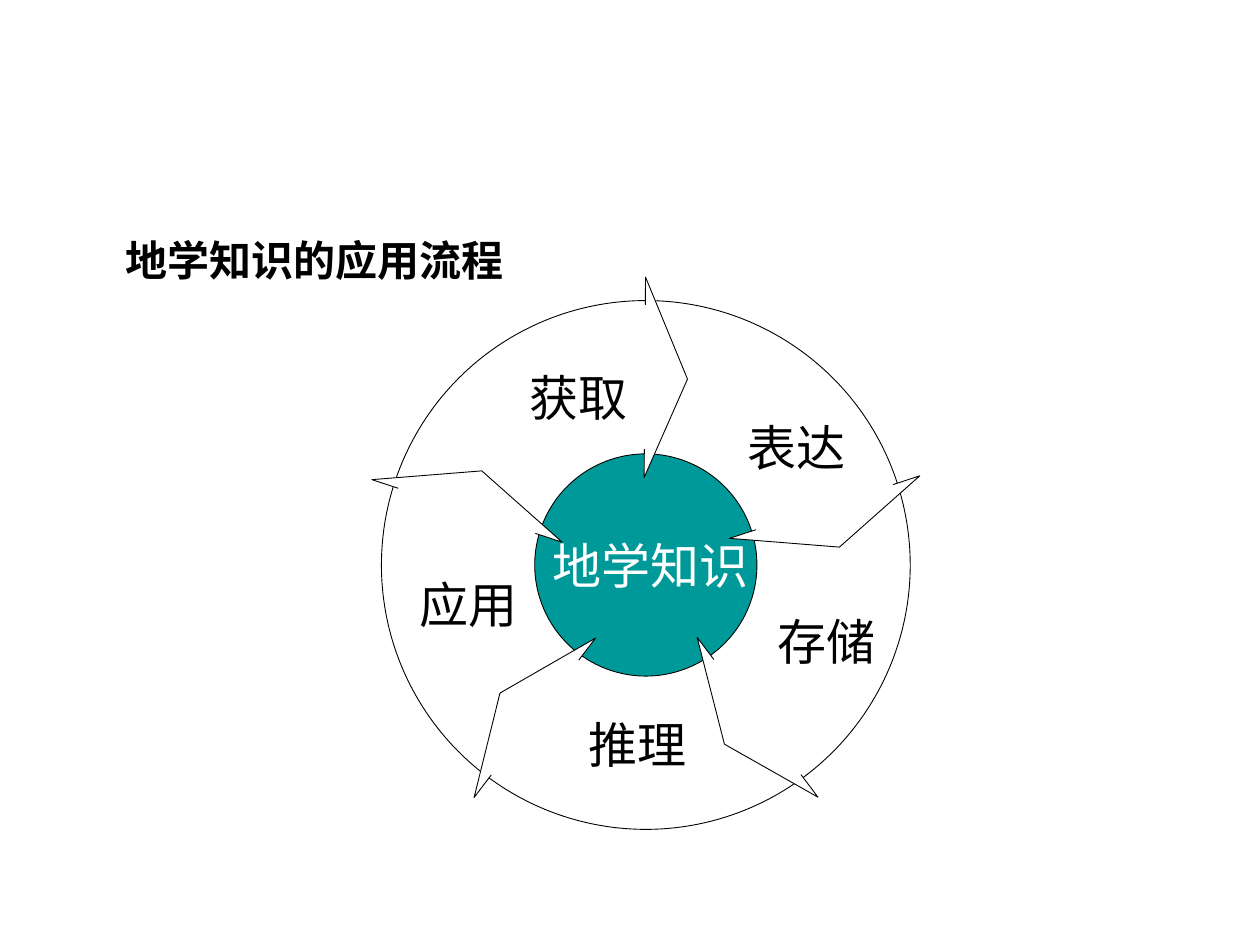
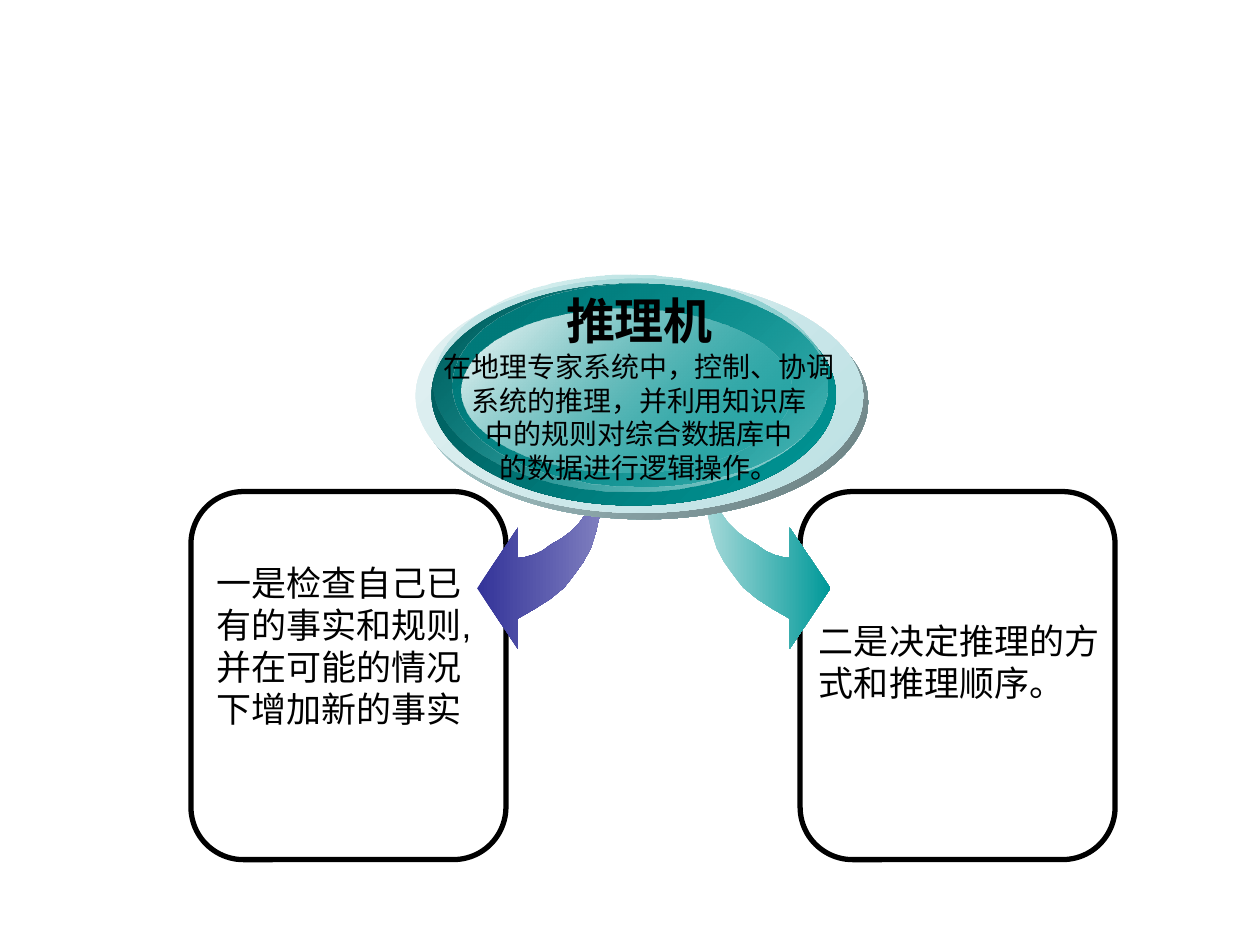
from copy import deepcopy
from math import cos, radians, sin, tan

from pptx import Presentation, util as u
from pptx.dml.color import RGBColor
from pptx.enum import shapes, text
from pptx.oxml import parse_xml
from pptx.oxml.ns import nsdecls, qn

BLACK = RGBColor(0x00, 0x00, 0x00)
WHITE = RGBColor(0xFF, 0xFF, 0xFF)
TEAL = RGBColor(0x00, 0x99, 0x99)
TEAL_DARK = RGBColor(0x00, 0x54, 0x54)
TEAL_MID = RGBColor(0x00, 0x78, 0x78)
TEAL_PALE = RGBColor(0xB0, 0xDD, 0xDD)
TEAL_MIST = RGBColor(0xA8, 0xDA, 0xDA)
INDIGO = RGBColor(0x33, 0x33, 0x99)
INDIGO_PALE = RGBColor(0x7F, 0x7F, 0xBF)
ICE = RGBColor(0xBB, 0xE0, 0xE3)
ICE_PALE = RGBColor(0xE4, 0xF2, 0xF3)
ICE_SHADE = RGBColor(0x67, 0x7B, 0x7D)
FONT = "Arial"


def add_text(slide, lines, left, top, width, height, sizes=(28,), bold_lines=(),
             color=BLACK, align=text.PP_ALIGN.CENTER, anchor=text.MSO_ANCHOR.TOP,
             margin=None, wrap=True):
    box = slide.shapes.add_textbox(u.Cm(left), u.Cm(top), u.Cm(width), u.Cm(height))
    frame = box.text_frame
    frame.word_wrap = wrap
    frame.auto_size = text.MSO_AUTO_SIZE.SHAPE_TO_FIT_TEXT
    frame.vertical_anchor = anchor
    if margin is not None:
        frame.margin_left = frame.margin_right = u.Cm(margin)
        frame.margin_top = frame.margin_bottom = u.Cm(margin)
    frame.text = "\n".join(lines)
    for index, paragraph in enumerate(frame.paragraphs):
        paragraph.alignment = align
        paragraph._p.get_or_add_pPr().set("hangingPunct", "0")
        font = paragraph.runs[0].font
        font.name = FONT
        font.size = u.Pt(sizes[min(index, len(sizes) - 1)])
        font.bold = index in bold_lines
        font.color.rgb = color


def add_outline(slide, points, close):
    corners = [(u.Cm(x), u.Cm(y)) for x, y in points]
    builder = slide.shapes.build_freeform(*corners[0])
    builder.add_line_segments(corners[1:], close=close)
    shape = builder.convert_to_shape()
    shape.shadow.inherit = False
    shape.fill.solid()
    shape.fill.fore_color.rgb = WHITE
    shape.line.color.rgb = BLACK
    shape.line.width = u.Pt(0.5)
    return shape


presentation = Presentation()
presentation.slide_width = u.Cm(25.4)
presentation.slide_height = u.Cm(19.05)
blank = presentation.slide_layouts[6]

slide = presentation.slides.add_slide(blank)
add_text(slide, ["地学知识的应用流程"], 0, 4.6, 12.7, 1.27, sizes=(24,), bold_lines=(0,))

CENTER_X, CENTER_Y = 13.02, 11.39
RING_RADIUS, HUB_RADIUS = 5.33, 2.24
STEP = 72

for sector in range(5):
    start = sector * STEP - 90
    end = start + STEP
    angles = [start] + [axis for axis in (0, 90, 180) if start < axis < end] + [end]
    rim = [(CENTER_X + RING_RADIUS * cos(radians(angle)),
            CENTER_Y + RING_RADIUS * sin(radians(angle))) for angle in angles]
    shape = add_outline(slide, rim + [(CENTER_X, CENTER_Y)], True)
    area = shape._element.find(".//" + qn("a:path"))
    nodes = [(int(point.get("x")), int(point.get("y"))) for point in area.iter(qn("a:pt"))]
    hub_x, hub_y = nodes[len(rim)]
    for index in range(1, len(rim)):
        pull = 4 / 3 * tan(radians(angles[index] - angles[index - 1]) / 4)
        (x1, y1), (x2, y2) = nodes[index - 1:index + 1]
        curve = [(x1 - pull * (y1 - hub_y), y1 + pull * (x1 - hub_x)),
                 (x2 + pull * (y2 - hub_y), y2 - pull * (x2 - hub_x)), (x2, y2)]
        marks = "".join(f'<a:pt x="{round(x)}" y="{round(y)}"/>' for x, y in curve)
        area.replace(area[index],
                     parse_xml(f'<a:cubicBezTo {nsdecls("a")}>{marks}</a:cubicBezTo>'))
    arc = deepcopy(area)
    for segment in list(arc)[-2:]:
        arc.remove(segment)
    arc.set("fill", "none")
    area.set("stroke", "0")
    area.addprevious(arc)

hub = slide.shapes.add_shape(shapes.MSO_SHAPE.OVAL, u.Cm(CENTER_X - HUB_RADIUS),
                             u.Cm(CENTER_Y - HUB_RADIUS), u.Cm(2 * HUB_RADIUS),
                             u.Cm(2 * HUB_RADIUS))
hub.shadow.inherit = False
hub.fill.solid()
hub.fill.fore_color.rgb = TEAL
hub.line.color.rgb = BLACK
hub.line.width = u.Pt(0.5)

CHEVRON_WIDTH = 0.86
chevron = [(0, 0.56), (0, 0), (CHEVRON_WIDTH, 2.05), (0, 4.04), (0, 3.47)]
for left, top, angle, mirrored in [
    (16.33, 8.61, 251.8, True),
    (14.5, 12.7, 322.9, True),
    (10.01, 12.19, 37.3, True),
    (9.12, 7.87, 288.2, False),
    (13.0, 5.59, 0.4, False),
]:
    points = [(left + (CHEVRON_WIDTH - x if mirrored else x), top + y) for x, y in chevron]
    add_outline(slide, points, False).rotation = angle

for label, left, top, width, color in [
    ("地学知识", 11.1, 10.8, 4.01, WHITE),
    ("表达", 14.81, 8.41, 2.49, BLACK),
    ("存储", 15.42, 12.32, 2.49, BLACK),
    ("推理", 11.61, 14.4, 2.49, BLACK),
    ("应用", 8.2, 11.58, 2.49, BLACK),
    ("获取", 10.41, 7.41, 2.49, BLACK),
]:
    add_text(slide, [label], left, top, width, 1.19, color=color,
             anchor=text.MSO_ANCHOR.MIDDLE, margin=0)

slide = presentation.slides.add_slide(blank)
for left in (16.13, 3.85):
    card = slide.shapes.add_shape(shapes.MSO_SHAPE.ROUNDED_RECTANGLE, u.Cm(left),
                                  u.Cm(9.91), u.Cm(6.35), u.Cm(7.42))
    card.shadow.inherit = False
    card.fill.background()
    card.line.color.rgb = BLACK
    card.line.width = u.Pt(3)

add_text(slide, ["一是检查自己已有的事实和规则, 并在可能的情况下增加新的事实"],
         4.11, 11.2, 5.66, 3.68, sizes=(20,), align=text.PP_ALIGN.LEFT)

AXIS_X = 13.18
curved_arrow = [
    (1.04, 9.65), (1.04, 10.03), (1.09, 10.39), (1.17, 10.74), (1.27, 11.05),
    (1.42, 11.33), (1.6, 11.58), (1.8, 11.84), (2.08, 12.07), (2.39, 12.27),
    (2.74, 12.47), (2.74, 13.08), (3.56, 11.86), (2.74, 10.64), (2.74, 11.25),
    (2.59, 11.23), (2.41, 11.18), (2.24, 11.1), (2.06, 10.97), (1.85, 10.85),
    (1.68, 10.72), (1.5, 10.54), (1.37, 10.36), (1.24, 10.19), (1.14, 10.01),
    (1.07, 9.8),
]
gradients = []
for side, colors in [(-1, (INDIGO, INDIGO_PALE)), (1, (TEAL_MIST, TEAL))]:
    arrow = add_outline(slide, [(AXIS_X + side * x, y) for x, y in curved_arrow], True)
    gradients.append((arrow, 0, colors, (100, 100)))

button = slide.shapes.add_group_shape()
for left, top, width, height, colors, opacities in [
    (8.48, 5.75, 9.02, 4.72, (ICE, ICE_SHADE), (100, 100)),
    (8.38, 5.62, 9.02, 4.72, (ICE_PALE, ICE), (100, 100)),
    (8.7, 5.72, 8.15, 4.47, (TEAL_DARK, TEAL), (100, 100)),
    (8.74, 5.54, 7.95, 4.37, (TEAL, TEAL_PALE), (0, 100)),
    (9.12, 5.72, 7.57, 4.09, (TEAL_MID, TEAL), (100, 48)),
    (9.3, 6.22, 6.65, 3.3, (WHITE, TEAL), (100, 38)),
]:
    layer = button.shapes.add_shape(shapes.MSO_SHAPE.OVAL, u.Cm(left), u.Cm(top),
                                    u.Cm(width), u.Cm(height))
    layer.shadow.inherit = False
    gradients.append((layer, 315, colors, opacities))

for shape, angle, colors, opacities in gradients:
    shape.line.fill.background()
    shape.fill.gradient()
    shape.fill.gradient_angle = angle
    for stop, position, color in zip(shape.fill.gradient_stops, (0, 1), colors):
        stop.position = position
        stop.color.rgb = color
    for element, opacity in zip(shape._element.iter(qn("a:srgbClr")), opacities):
        if opacity < 100:
            element.append(parse_xml(f'<a:alpha {nsdecls("a")} val="{opacity * 1000}"/>'))

add_text(slide, ["推理机", "在地理专家系统中，控制、协调", "系统的推理，并利用知识库",
                 "中的规则对综合数据库中", "的数据进行逻辑操作。"],
         8.65, 5.74, 8.48, 4.19, sizes=(28, 16), bold_lines=(0,), wrap=False)
add_text(slide, ["二是决定推理的方式和推理顺序。"], 16.26, 12.37, 6.25, 1.96,
         sizes=(20,), align=text.PP_ALIGN.LEFT)

presentation.save("out.pptx")
